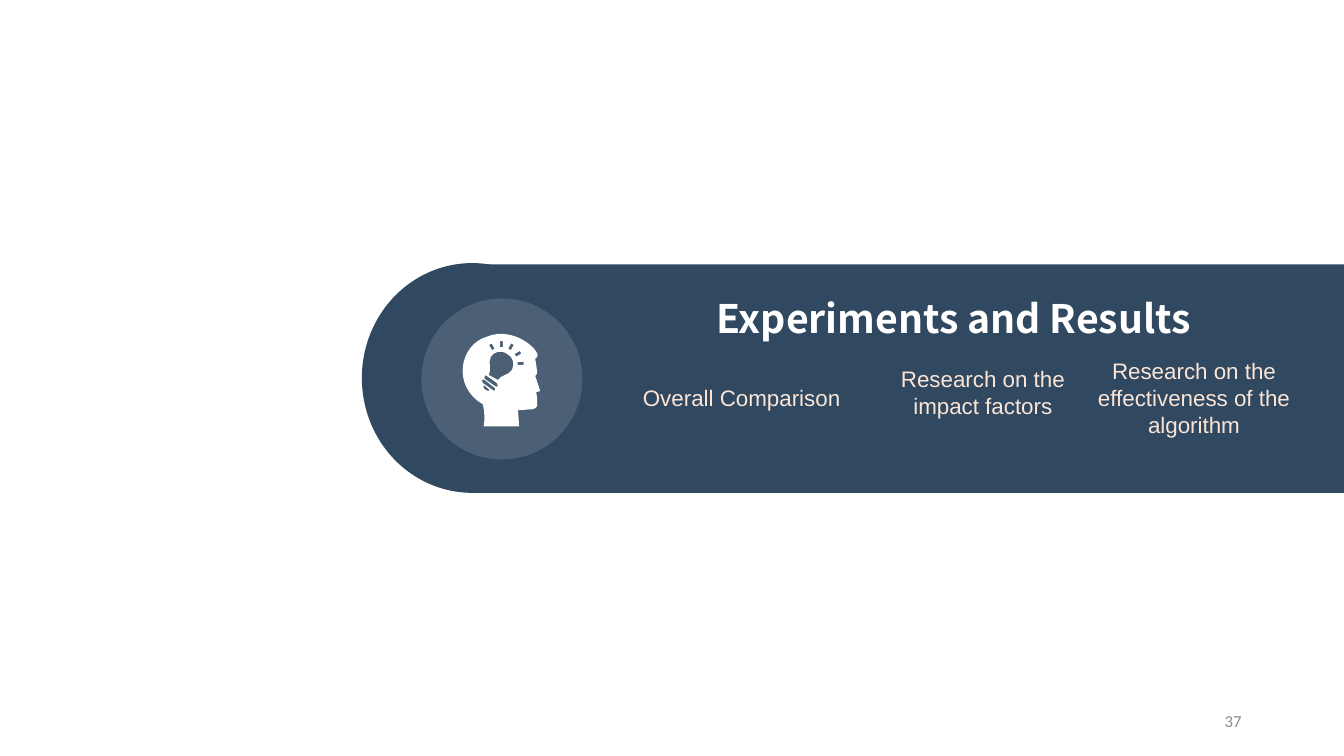
from dataclasses import dataclass
from math import cos, radians, sin

from pptx import Presentation
from pptx.dml.color import RGBColor
from pptx.enum.shapes import MSO_SHAPE as SHAPE
from pptx.enum.text import MSO_ANCHOR as ANCHOR, PP_ALIGN as ALIGN
from pptx.oxml.ns import qn
from pptx.util import Cm, Pt

TITLE = "Experiments and Results"
PAGE = "37"
# text, box in cm: left, top, width, height
TOPICS = [
    ("Overall Comparison", (15.87, 9.68, 5.64, 0.69)),
    ("Research on the impact factors", (21.95, 9.21, 5.64, 1.37)),
    ("Research on the effectiveness of the algorithm", (26.93, 9, 6.32, 2.06)),
]

# Icon outlines in icon units: a pair is a line end, six numbers are a Bézier curve.
ICON_UNIT = Cm(0.0254)
HEAD = [
    (480, 423), (481, 416, 481, 408, 479, 401), (448, 383, 456, 342, 483, 334),
    (497, 328, 515, 332, 528, 344), (537, 353, 532, 355, 532, 355), (531, 356),
    (532, 361, 533, 369, 533, 370), (533, 371, 531, 373, 531, 373), (536, 388),
    (532, 389), (533, 394, 533, 398, 533, 403), (533, 404, 530, 406, 528, 406),
    (514, 407), (515, 423), (480, 423),
]
BULB = [
    (503, 351), (497, 347, 490, 349, 487, 354), (484, 360, 488, 366, 485, 372),
    (494, 377), (497, 372, 505, 372, 508, 367), (511, 361, 509, 354, 503, 351),
]
THREADS = [
    [(493, 380), (483, 373), (482, 372, 481, 372, 481, 373),
     (480, 374, 481, 375, 481, 376), (491, 383), (492, 384, 493, 384, 494, 383),
     (494, 382, 494, 381, 493, 380)],
    [(491, 385), (481, 377), (480, 376, 479, 377, 478, 377),
     (478, 378, 478, 379, 479, 380), (489, 387), (490, 388, 491, 388, 491, 387),
     (492, 386, 491, 385, 491, 385)],
    [(480, 382), (479, 384, 480, 386, 482, 387), (483, 388, 485, 388, 486, 387)],
]
BULB_CENTRE = (497.5, 360.5)
RAY_ANGLES = range(-120, 1, 30)
RAY_INNER, RAY_OUTER, RAY_HALF = 16, 22, 1.5


@dataclass(frozen=True)
class Theme:
    band: RGBColor = RGBColor(0x30, 0x48, 0x60)
    disc: RGBColor = RGBColor(0x4B, 0x60, 0x75)
    white: RGBColor = RGBColor(0xFF, 0xFF, 0xFF)
    topic: RGBColor = RGBColor(0xFB, 0xE5, 0xD6)
    page: RGBColor = RGBColor(0x8C, 0x8C, 0x8C)
    title_font: str = "Noto Sans CJK SC"
    topic_font: str = "Arial"
    page_font: str = "Calibri"
    title_size: Pt = Pt(28)
    topic_size: Pt = Pt(16)
    page_size: Pt = Pt(12)


T = Theme()


def paint(sp, color):
    sp.shadow.inherit = False
    sp.fill.solid()
    sp.fill.fore_color.rgb = color
    sp.line.fill.background()


def add_solid(shapes, kind, box, color):
    paint(shapes.add_shape(kind, *map(Cm, box)), color)


def add_text(s, text, box, font, size, color, align, bold=False,
             anchor=ANCHOR.TOP, insets=(0.25, 0.13, 0.25, 0.13)):
    tf = s.shapes.add_textbox(*map(Cm, box)).text_frame
    tf.word_wrap = True
    tf.vertical_anchor = anchor
    tf.margin_left, tf.margin_top, tf.margin_right, tf.margin_bottom = map(Cm, insets)
    p = tf.paragraphs[0]
    p.text = text
    p.alignment = align
    p.font.name, p.font.size, p.font.bold = font, size, bold
    p.font.color.rgb = color


def ray(angle):
    """Return the closed outline of a short bar pointing away from the bulb."""
    c, d = cos(radians(angle)), sin(radians(angle))
    x, y = BULB_CENTRE
    corners = [(RAY_INNER, -RAY_HALF), (RAY_OUTER, -RAY_HALF), (RAY_OUTER, RAY_HALF),
               (RAY_INNER, RAY_HALF), (RAY_INNER, -RAY_HALF)]
    return [(x + r * c - w * d, y + r * d + w * c) for r, w in corners]


def bend(sp, segments):
    """Join the three lines of each six-number segment into one Bézier curve."""
    lines = iter(sp._element.xpath(".//a:lnTo"))
    for seg in segments:
        first, *rest = [next(lines) for _ in range(len(seg) // 2)]
        if rest:
            first.tag = qn("a:cubicBezTo")
        for line in rest:
            first.append(line[0])
            line.getparent().remove(line)


def add_icon(shapes):
    outlines = [*THREADS, BULB, *map(ray, RAY_ANGLES), HEAD]
    x0, y0 = outlines[0][0]
    builder = shapes.build_freeform(x0 * ICON_UNIT, y0 * ICON_UNIT)
    for i, ((x, y), *segments) in enumerate(outlines):
        if i:
            builder.move_to(x * ICON_UNIT, y * ICON_UNIT)
        points = [(seg[k] * ICON_UNIT, seg[k + 1] * ICON_UNIT)
                  for seg in segments for k in range(0, len(seg), 2)]
        builder.add_line_segments(points, close=True)
    sp = builder.convert_to_shape()
    bend(sp, [seg for outline in outlines for seg in outline[1:]])
    paint(sp, T.white)


def main():
    prs = Presentation()
    prs.slide_width, prs.slide_height = Cm(33.87), Cm(19.05)
    s = prs.slides.add_slide(prs.slide_layouts[6])

    band = s.shapes.add_group_shape().shapes
    add_solid(band, SHAPE.OVAL, (9.12, 6.63, 5.56, 5.79), T.band)
    add_solid(band, SHAPE.RECTANGLE, (11.81, 6.66, 22.06, 5.76), T.band)

    badge = s.shapes.add_group_shape().shapes
    add_solid(badge, SHAPE.OVAL, (10.62, 7.52, 4.06, 4.06), T.disc)
    add_icon(badge)

    add_text(s, TITLE, (17.37, 7.29, 13.74, 1.45), T.title_font, T.title_size,
             T.white, ALIGN.LEFT, bold=True, insets=(0.69, 0.13, 0.25, 0.13))
    for text, box in TOPICS:
        add_text(s, text, box, T.topic_font, T.topic_size, T.topic,
                 ALIGN.CENTER, insets=(0, 0, 0, 0))
    add_text(s, PAGE, (23.92, 17.65, 7.62, 1.02), T.page_font, T.page_size,
             T.page, ALIGN.RIGHT, anchor=ANCHOR.MIDDLE)

    prs.save("out.pptx")


if __name__ == "__main__":
    main()
